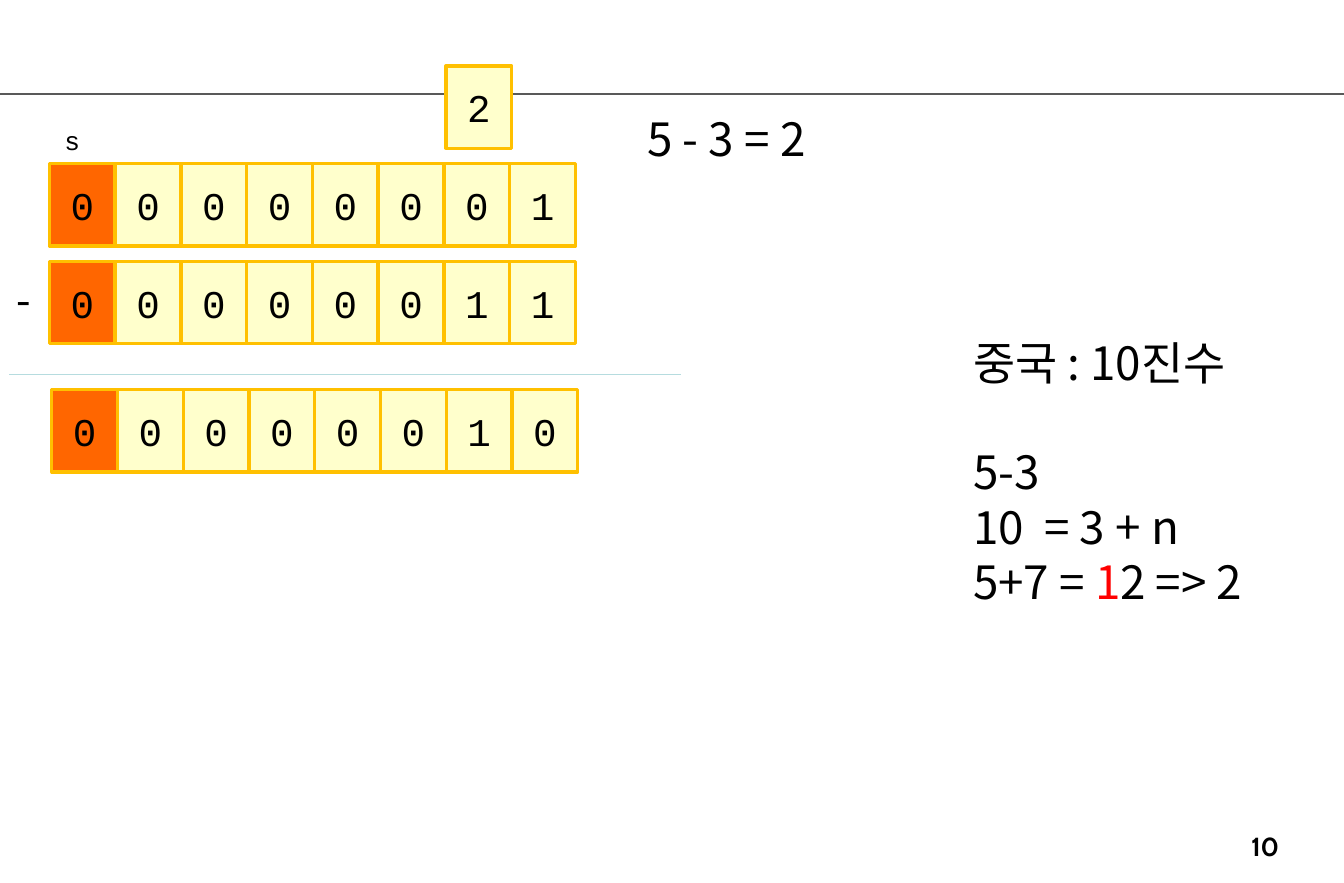
from lxml import etree
from pptx import Presentation
from pptx.dml.color import RGBColor
from pptx.enum.shapes import MSO_CONNECTOR, MSO_SHAPE
from pptx.enum.text import MSO_ANCHOR as Anchor, PP_ALIGN as Align
from pptx.oxml.ns import qn
from pptx.util import Inches, Pt

COLORS = {
    "text": "000000", "red": "FF0000", "sign": "FF6600", "bit": "FFFFCC",
    "border": "FFC000", "header": "595959", "sum": "B6DCDF",
}
MONO, SANS = "Courier New", "Noto Sans CJK KR"
CELL_WIDTH, CELL_HEIGHT = 0.56, 0.7
BIT_PITCH = 0.5587
LINE_HEIGHT = Pt(33.6)


def rgb(name):
    return RGBColor.from_string(COLORS[name])


def write(para, text, size, font, color="text", bold=False):
    """Append a formatted span to a paragraph, for Latin and Korean text alike."""
    span = para.add_run()
    span.text = text
    for key, value in {"size": Pt(size), "name": font, "bold": bold}.items():
        setattr(span.font, key, value)
    span.font.color.rgb = rgb(color)
    east_asian = etree.SubElement(span.font._element, qn("a:ea"))
    east_asian.set("typeface", font)


deck = Presentation()
deck.slide_width, deck.slide_height = Inches(11.42), Inches(7.5)
page = deck.slides.add_slide(deck.slide_layouts[6])

# Header rule and the rule above the result
for left, right, top, color, width in [
    (0, 11.42, 0.8, "header", 1.5),
    (0.08, 5.79, 3.18, "sum", 0.75),
]:
    rule = page.shapes.add_connector(
        MSO_CONNECTOR.STRAIGHT, Inches(left), Inches(top), Inches(right), Inches(top))
    rule.line.color.rgb = rgb(color)
    rule.line.width = Pt(width)
    etree.SubElement(rule._element.spPr, qn("a:effectLst"))

# Binary numbers with an orange sign bit, then the borrowed 2
cells = []
for left, top, bits in [
    (0.42, 1.39, "00000001"),
    (0.42, 2.22, "00000011"),
    (0.44, 3.31, "00000010"),
]:
    for index, bit in enumerate(bits):
        cells.append((left + index * BIT_PITCH, top, bit, "bit" if index else "sign"))
cells.append((3.79, 0.56, "2", "bit"))

for left, top, digit, fill in cells:
    cell = page.shapes.add_shape(
        MSO_SHAPE.RECTANGLE, Inches(left), Inches(top),
        Inches(CELL_WIDTH), Inches(CELL_HEIGHT))
    cell.shadow.inherit = False
    cell.fill.solid()
    cell.fill.fore_color.rgb = rgb(fill)
    cell.line.color.rgb = rgb("border")
    cell.line.width = Pt(2)
    cell.text_frame.vertical_anchor = Anchor.MIDDLE
    para = cell.text_frame.paragraphs[0]
    para.alignment = Align.CENTER
    write(para, digit, 24, MONO)

# Sign label, minus and page number
for left, top, width, height, text, size, font, bold, anchor, align in [
    (0.45, 0.98, 0.33, 0.42, "s", 16, MONO, False, Anchor.MIDDLE, Align.CENTER),
    (0, 2.29, 0.39, 0.5, "-", 24, MONO, False, Anchor.TOP, Align.LEFT),
    (10.25, 7, 1, 0.24, "10", 16, "Cabin", True, Anchor.TOP, Align.CENTER),
]:
    box = page.shapes.add_textbox(Inches(left), Inches(top), Inches(width), Inches(height))
    box.text_frame.vertical_anchor = anchor
    para = box.text_frame.paragraphs[0]
    para.alignment = align
    write(para, text, size, font, bold=bold)

# Decimal calculation and the ten's complement notes
for left, top, width, height, lines in [
    (5.4, 0.87, 1.7, 0.57, [[("5 - 3 = 2", "text")]]),
    (8.17, 2.77, 2.8, 2.46, [
        [("중국 : 10진수", "text")],
        [("5-3", "text")],
        [("10  = 3 + n", "text")],
        [("5+7 = ", "text"), ("1", "red"), ("2 => 2", "text")],
    ]),
]:
    box = page.shapes.add_textbox(Inches(left), Inches(top), Inches(width), Inches(height))
    frame = box.text_frame
    frame.word_wrap = False
    frame.margin_top = Inches(0.07)
    for index, spans in enumerate(lines):
        para = frame.paragraphs[0] if index == 0 else frame.add_paragraph()
        para.line_spacing = LINE_HEIGHT
        if index == 1:
            para.space_before = LINE_HEIGHT
        for text, color in spans:
            write(para, text, 28, SANS, color)

deck.save("out.pptx")
